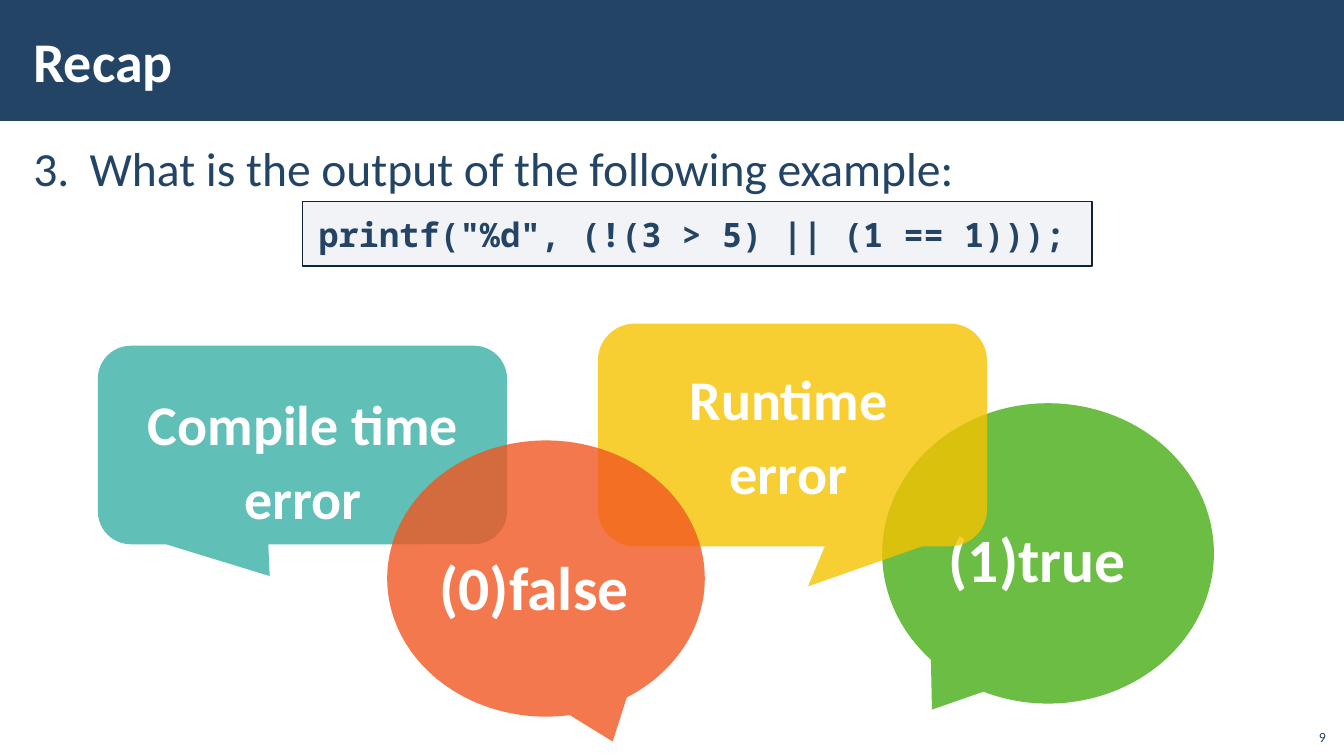
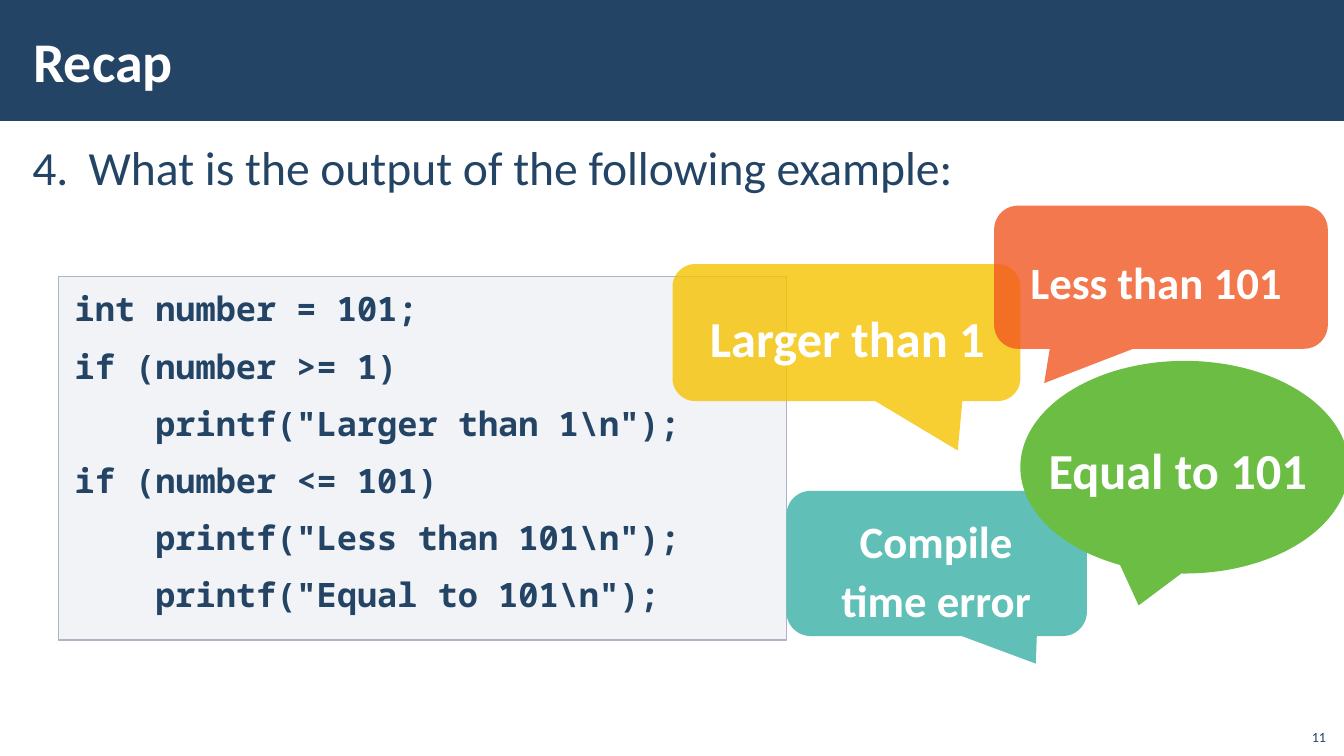
"""Build two recap quiz slides with code samples and answer bubbles."""
from lxml.etree import SubElement
from pptx import Presentation
from pptx.dml.color import RGBColor
from pptx.enum.shapes import MSO_SHAPE
from pptx.enum.text import MSO_ANCHOR, PP_ALIGN
from pptx.oxml.ns import qn
from pptx.util import Pt

PX = 9144
NAVY = RGBColor(0x23, 0x44, 0x65)
INK = RGBColor(0x11, 0x22, 0x33)
WHITE = RGBColor(0xFF, 0xFF, 0xFF)
GREY = RGBColor(0xAD, 0xB4, 0xC3)
TEAL = RGBColor(0x60, 0xBF, 0xB7)
GREEN = RGBColor(0x6C, 0xBD, 0x44)
YELLOW = RGBColor(0xF5, 0xC3, 0x00)
ORANGE = RGBColor(0xF1, 0x57, 0x21)

QUESTION = "What is the output of the following example:"
ROUND = MSO_SHAPE.ROUNDED_RECTANGULAR_CALLOUT
OVAL = MSO_SHAPE.OVAL_CALLOUT
NARROW_INSETS = (12, 4)
WIDE_INSETS = (16, 12)

TITLE = {"size": Pt(40), "name": "Calibri", "bold": True}
BODY = {"size": Pt(34), "name": "Calibri"}
CODE = {"size": Pt(24), "name": "Noto Sans Mono", "bold": True}
NUMBER = {"size": Pt(10), "name": "Calibri"}

SLIDES = [
    {
        "number": 9,
        "question": (3, (21, 131, 1292, 608)),
        "code": ['printf("%d", (!(3 > 5) || (1 == 1)));'],
        "code_box": (300, 200, 783, 64),
        "code_line": INK,
        "bubbles": [
            (ROUND, (97, 343, 406, 197), (-0.08, 0.66), TEAL, 100,
             "Compile time error", (127, 368, 347, 174), 40, PP_ALIGN.CENTER, 1.1),
            (OVAL, (875, 400, 329, 298), (-0.35, 0.52), GREEN, 100,
             "(1)true", (925, 505, 228, 98), 44, PP_ALIGN.LEFT, 1),
            (ROUND, (593, 321, 386, 221), (0.04, 0.68), YELLOW, 80,
             "Runtime error", (634, 343, 296, 168), 40, PP_ALIGN.CENTER, 1.1),
            (OVAL, (384, 437, 315, 274), (0.21, 0.59), ORANGE, 80,
             "(0)false", (420, 525, 225, 101), 44, PP_ALIGN.LEFT, 1.1),
        ],
    },
    {
        "number": 11,
        "question": (4, (20, 130, 1291, 567)),
        "code": [
            "int number = 101;",
            "if (number >= 1)",
            '    printf("Larger than 1\\n");',
            "if (number <= 101)",
            '    printf("Less than 101\\n");',
            '    printf("Equal to 101\\n");',
        ],
        "code_box": (58, 274, 722, 361),
        "code_line": GREY,
        "bubbles": [
            (ROUND, (780, 487, 298, 144), (0.33, 0.69), TEAL, 100,
             "Compile time error", (794, 492, 269, 139), 32, PP_ALIGN.CENTER, 1.1),
            (OVAL, (1012, 358, 326, 211), (-0.14, 0.65), GREEN, 100,
             "Equal to 101", (1024, 424, 350, 84), 36, PP_ALIGN.LEFT, 1),
            (ROUND, (667, 262, 345, 136), (0.32, 0.86), YELLOW, 80,
             "Larger than 1", (670, 287, 341, 87), 36, PP_ALIGN.CENTER, 1.1),
            (ROUND, (986, 204, 331, 142), (-0.35, 0.74), ORANGE, 80,
             "Less than 101", (1006, 235, 336, 81), 32, PP_ALIGN.LEFT, 1.1),
        ],
    },
]


def add_filled(slide, kind, box, color, opacity=100):
    """Add a preset shape with a flat fill and no outline."""
    shape = slide.shapes.add_shape(kind, *(length * PX for length in box))
    shape.shadow.inherit = False
    shape.fill.solid()
    shape.fill.fore_color.rgb = color
    shape.line.fill.background()
    if opacity < 100:
        color_element = shape.fill._xPr.find(qn("a:solidFill"))[0]
        SubElement(color_element, qn("a:alpha"), val=str(opacity * 1000))
    return shape


def write(shape, lines, font, color, insets, anchor=MSO_ANCHOR.TOP,
          align=PP_ALIGN.LEFT, spacing=None, gap=0, number=None):
    """Fill a shape with one formatted paragraph per line."""
    frame = shape.text_frame
    frame.word_wrap = True
    frame.vertical_anchor = anchor
    frame.margin_left = frame.margin_right = insets[0] * PX
    frame.margin_top = frame.margin_bottom = insets[1] * PX
    frame.text = "\n".join(lines)
    for index, paragraph in enumerate(frame.paragraphs):
        paragraph.alignment = align
        paragraph.line_spacing = spacing
        paragraph.space_before = Pt(gap if index else 0)
        paragraph.space_after = Pt(gap)
        if number:
            properties = paragraph._p.get_or_add_pPr()
            properties.set("marL", str(56 * PX))
            properties.set("indent", str(-56 * PX))
            SubElement(properties, qn("a:buAutoNum"), type="arabicPeriod", startAt=str(number))
        for attribute, value in font.items():
            setattr(paragraph.font, attribute, value)
        paragraph.font.color.rgb = color


presentation = Presentation()
presentation.slide_width = 1333 * PX
presentation.slide_height = 750 * PX

for content in SLIDES:
    slide = presentation.slides.add_slide(presentation.slide_layouts[6])
    add_filled(slide, MSO_SHAPE.RECTANGLE, (0, 0, 1333, 120), NAVY)

    title = slide.shapes.add_textbox(21 * PX, 11 * PX, 1063 * PX, 97 * PX)
    write(title, ["Recap"], TITLE, WHITE, NARROW_INSETS, MSO_ANCHOR.MIDDLE)

    start, box = content["question"]
    question = slide.shapes.add_textbox(*(length * PX for length in box))
    write(question, [QUESTION], BODY, NAVY, NARROW_INSETS, spacing=1.05, gap=6, number=start)

    code = add_filled(slide, MSO_SHAPE.RECTANGLE, content["code_box"], GREY, 15)
    code.line.color.rgb = content["code_line"]
    code.line.width = Pt(1)
    write(code, content["code"], CODE, NAVY, WIDE_INSETS, gap=6)

    for kind, box, tail, color, opacity, answer, text_box, size, align, spacing in content["bubbles"]:
        bubble = add_filled(slide, kind, box, color, opacity)
        bubble.adjustments[0], bubble.adjustments[1] = tail
        label = slide.shapes.add_textbox(*(length * PX for length in text_box))
        write(label, [answer], TITLE | {"size": Pt(size)}, WHITE, WIDE_INSETS,
              align=align, spacing=spacing)

    page = slide.shapes.add_textbox(1285 * PX, 712 * PX, 40 * PX, 32 * PX)
    write(page, [str(content["number"])], NUMBER, NAVY, (10, 5), MSO_ANCHOR.BOTTOM, PP_ALIGN.RIGHT)

presentation.save("out.pptx")
